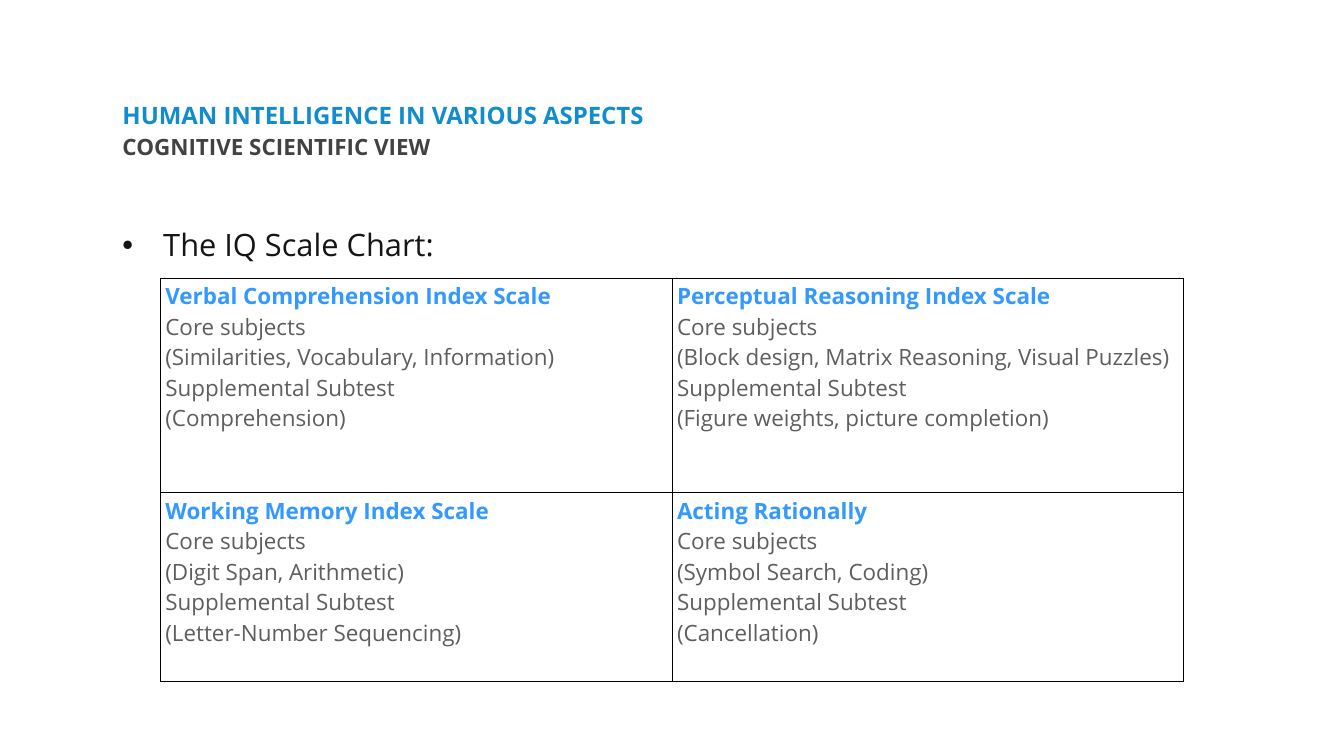
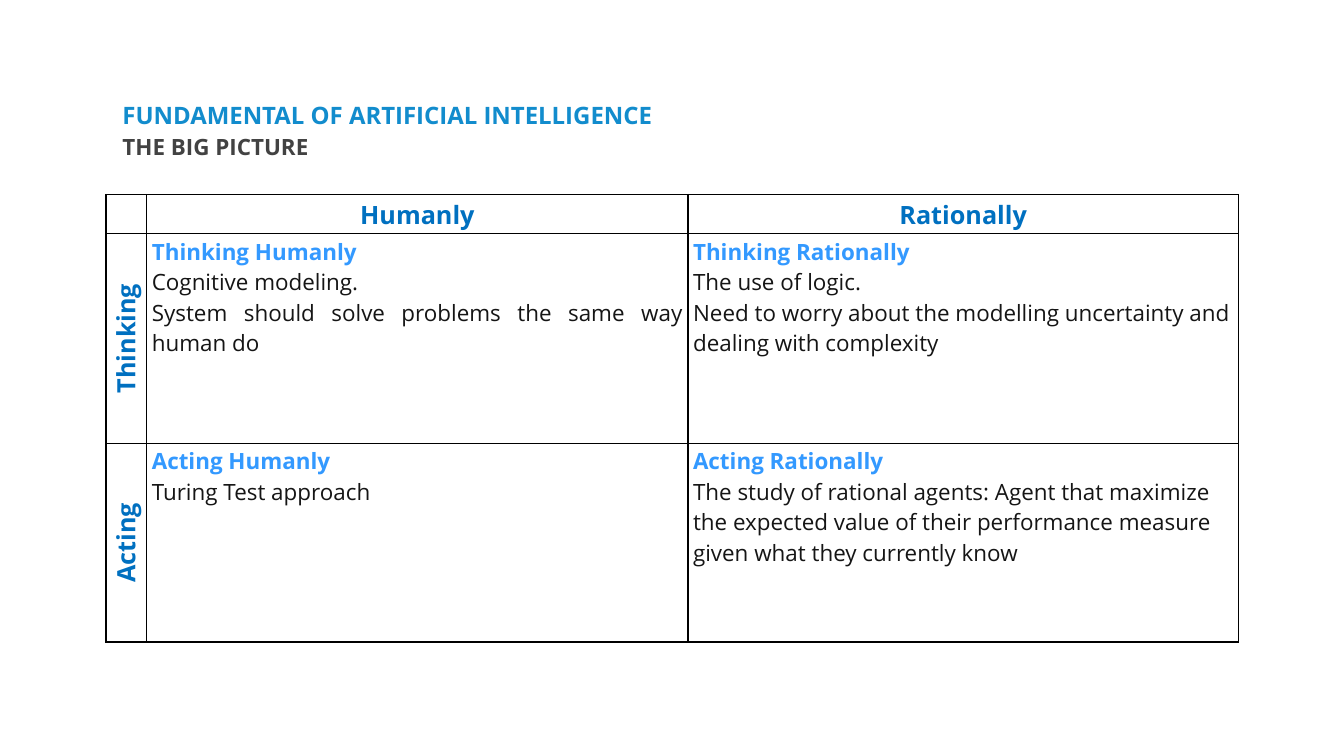
from dataclasses import dataclass

from lxml import etree
from pptx import Presentation
from pptx import util as u
from pptx.dml import color
from pptx.enum import text
from pptx.oxml import ns


@dataclass(frozen=True)
class Theme:
    font: str = "Open Sans"
    title: str = "128CCD"
    subtitle: str = "424242"
    body: str = "151515"
    muted: str = "5E5E5E"
    heading: str = "3399FF"
    axis: str = "0070C0"
    border: str = "000000"
    title_size: float = 34.2
    bullet_size: float = 44
    axis_size: float = 36
    cell_size: float = 32
    inset: float = 4.3


theme = Theme()
LEFT, CENTER, JUSTIFY = text.PP_ALIGN.LEFT, text.PP_ALIGN.CENTER, text.PP_ALIGN.JUSTIFY


def write_lines(frame, lines, align=LEFT, spacing=None):
    frame.word_wrap = True
    for number, (words, size, tint, bold) in enumerate(lines):
        para = frame.add_paragraph() if number else frame.paragraphs[0]
        para.alignment = LEFT if number == 0 and len(lines) > 1 else align
        if spacing:
            para.line_spacing = spacing
        span = para.add_run()
        span.text = words
        span.font.name = theme.font
        span.font.size = u.Pt(size)
        span.font.bold = bold
        span.font.color.rgb = color.RGBColor.from_string(tint)


def add_grid(page, left, top, widths, heights, border_width):
    frame = page.shapes.add_table(
        len(heights), len(widths), u.Pt(left), u.Pt(top), u.Pt(sum(widths)), u.Pt(sum(heights))
    )
    grid = frame.table
    grid.first_row = False
    grid.horz_banding = False
    for column, width in zip(grid.columns, widths):
        column.width = u.Pt(width)
    for row, height in zip(grid.rows, heights):
        row.height = u.Pt(height)
    for cell in grid.iter_cells():
        properties = cell._tc.get_or_add_tcPr()
        for side in ("a:lnL", "a:lnR", "a:lnT", "a:lnB"):
            line = etree.SubElement(properties, ns.qn(side), w=str(u.Pt(border_width)))
            fill = etree.SubElement(line, ns.qn("a:solidFill"))
            etree.SubElement(fill, ns.qn("a:srgbClr"), val=theme.border)
        cell.fill.background()
    return grid


deck = Presentation()
deck.slide_width = u.Pt(1920)
deck.slide_height = u.Pt(1080)

headings = [
    ("HUMAN INTELLIGENCE IN VARIOUS ASPECTS", "COGNITIVE SCIENTIFIC VIEW"),
    ("FUNDAMENTAL OF ARTIFICIAL INTELLIGENCE", "THE BIG PICTURE"),
]
pages = []
for title, subtitle in headings:
    page = deck.slides.add_slide(deck.slide_layouts[6])
    pages.append(page)
    for words, top, width, height, size, tint, spacing in (
        (title, 147.6, 1158.5, 40.3, theme.title_size, theme.title, 0.8),
        (subtitle, 190.8, 769, 63.4, theme.cell_size, theme.subtitle, 0.9),
    ):
        box = page.shapes.add_textbox(u.Pt(170.6), u.Pt(top), u.Pt(width), u.Pt(height))
        frame = box.text_frame
        frame.margin_left = frame.margin_right = u.Pt(theme.inset)
        frame.margin_top = frame.margin_bottom = u.Pt(theme.inset)
        write_lines(frame, [(words, size, tint, True)], spacing=spacing)

scales_page, approach_page = pages

box = scales_page.shapes.add_textbox(u.Pt(170.6), u.Pt(292.3), u.Pt(1520.6), u.Pt(640))
frame = box.text_frame
frame.margin_left = frame.margin_right = frame.margin_bottom = u.Pt(theme.inset)
frame.margin_top = u.Pt(30.6)
bullet = frame.paragraphs[0]._p.get_or_add_pPr()
bullet.set("marL", str(u.Pt(58.3)))
bullet.set("indent", str(-u.Pt(58.3)))
etree.SubElement(bullet, ns.qn("a:buFont"), typeface="Arial")
etree.SubElement(bullet, ns.qn("a:buChar"), char="•")
write_lines(frame, [("The IQ Scale Chart:", theme.bullet_size, theme.body, False)], JUSTIFY)

index_scales = [
    [
        ("Verbal Comprehension Index Scale", "(Similarities, Vocabulary, Information)", "(Comprehension)"),
        (
            "Perceptual Reasoning Index Scale",
            "(Block design, Matrix Reasoning, Visual Puzzles)",
            "(Figure weights, picture completion)",
        ),
    ],
    [
        ("Working Memory Index Scale", "(Digit Span, Arithmetic)", "(Letter-Number Sequencing)"),
        ("Acting Rationally", "(Symbol Search, Coding)", "(Cancellation)"),
    ],
]
grid = add_grid(scales_page, 229, 397.4, [731, 731], [306.3, 269.7], 1)
for row, scales in enumerate(index_scales):
    for column, (scale, core, supplemental) in enumerate(scales):
        details = ("Core subjects", core, "Supplemental Subtest", supplemental)
        lines = [(scale, theme.cell_size, theme.heading, True)]
        lines += [(words, theme.cell_size, theme.muted, False) for words in details]
        write_lines(grid.cell(row, column).text_frame, lines)

approaches = [
    [
        ("Thinking Humanly", "Cognitive modeling.", "System should solve problems the same way human do"),
        (
            "Thinking Rationally",
            "The use of logic.",
            "Need to worry about the modelling uncertainty and dealing with complexity",
        ),
    ],
    [
        ("Acting Humanly", "Turing Test approach"),
        (
            "Acting Rationally",
            "The study of rational agents: Agent that maximize the expected value of their "
            "performance measure given what they currently know",
        ),
    ],
]
grid = add_grid(approach_page, 151.2, 278, [58.5, 773.2, 786.2], [56, 299.5, 283.7], 2.25)
for column, manner in enumerate(("Humanly", "Rationally"), 1):
    write_lines(grid.cell(0, column).text_frame, [(manner, theme.axis_size, theme.axis, True)], CENTER)
for row, activity in enumerate(("Thinking", "Acting"), 1):
    cell = grid.cell(row, 0)
    cell.vertical_anchor = text.MSO_ANCHOR.MIDDLE
    cell._tc.get_or_add_tcPr().set("vert", "vert270")
    write_lines(cell.text_frame, [(activity, theme.axis_size, theme.axis, True)], CENTER)
    for column, (approach, *details) in enumerate(approaches[row - 1], 1):
        lines = [(approach, theme.cell_size, theme.heading, True)]
        lines += [(words, theme.cell_size, theme.body, False) for words in details]
        align = JUSTIFY if (row, column) == (1, 1) else LEFT
        write_lines(grid.cell(row, column).text_frame, lines, align)

deck.save("out.pptx")
